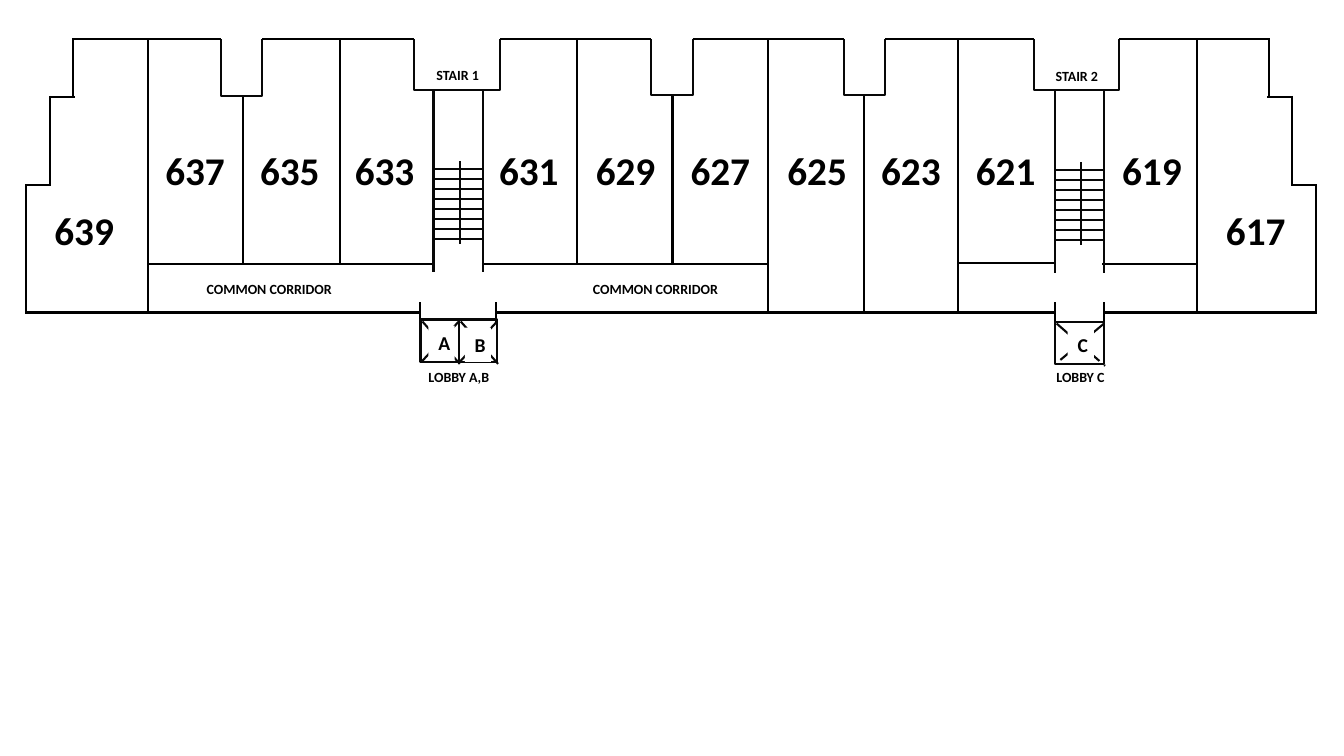
from pptx import Presentation
from pptx.dml.color import RGBColor as Rgb
from pptx.enum.dml import MSO_LINE as Dash
from pptx.enum.shapes import MSO_CONNECTOR as Conn, MSO_SHAPE as Shape
from pptx.enum.text import MSO_ANCHOR as Anchor, PP_ALIGN as Align
from pptx.oxml.xmlchemy import OxmlElement as Elem
from pptx.util import Inches as In, Pt

# Content: lengths in inches
COLORS = {"wall": "000000", "core": "080808", "paper": "FFFFFF", "ink": "000000"}
FONT = "Calibri"
WIDE, HIGH = 13.33, 7.5
SPAN = 13.31                         # left edge plus right edge of the building
TOP, DIP, HALL, BASE = 0.38, 0.95, 2.62, 3.1
ROW, END_ROW = 1.4, 2.0              # label tops: inner and end units

FIRST = 639                          # unit numbers fall by two, left to right
UNITS = [0.42, 1.52, 2.46, 3.4, 4.83, 5.79, 6.73, 7.69, 8.62, 9.56, 11.01, 12.04]

# Walls between units: x, top, bottom
PARTY = [
    (1.47, TOP, BASE), (2.41, DIP, HALL), (3.37, TOP, HALL), (5.72, TOP, HALL),
    (6.67, DIP, HALL), (7.62, TOP, BASE), (8.57, DIP, BASE), (9.5, TOP, BASE),
    (11.87, TOP, BASE),
]
# Recesses in the top front: left, right, floor
DENTS = [
    (2.19, 2.6, 0.95), (4.11, 4.96, 0.89), (6.46, 6.87, 0.94),
    (8.37, 8.78, 0.94), (10.26, 11.1, 0.89),
]
# Stepped ends: the left one, mirrored for the right
STEPS = [
    (0.72, TOP, 0.72, 0.96), (0.49, 0.96, 0.74, 0.96), (0.5, 0.95, 0.5, 1.85),
    (0.25, 1.84, 0.5, 1.84), (0.26, 1.83, 0.26, 3.11),
]
# Level walls: left, right, y
LEVEL = [
    (0.25, 4.17, BASE), (4.91, 10.46, BASE), (10.94, 13.06, BASE),
    (1.46, 4.3, HALL), (4.78, 7.62, HALL), (9.5, 10.45, 2.61), (10.93, 11.88, HALL),
]
DOORS = [4.17, 4.92, 10.46, 10.95]
STAIRS = [(4.3, 0.89), (10.46, 0.9)]
TREADS = 8

# Lifts: name, left, top, width, label left
LIFTS = [
    ("A", 4.17, 3.17, 0.38, 4.25),
    ("B", 4.55, 3.17, 0.38, 4.61),
    ("C", 10.46, 3.19, 0.49, 10.59),
]
# Small labels: text, left, top, width, wrap
NOTES = [
    ("COMMON CORRIDOR", 1.81, 2.73, 1.72, True),
    ("COMMON CORRIDOR", 5.64, 2.73, 1.72, True),
    ("LOBBY A,B", 4.14, 3.61, 0.82, False),
    ("LOBBY C", 10.37, 3.61, 0.69, False),
    ("STAIR 1", 4.2, 0.61, 0.68, True),
    ("STAIR 2", 10.34, 0.62, 0.68, True),
]

deck = Presentation()
deck.slide_width, deck.slide_height = In(WIDE), In(HIGH)
slide = deck.slides.add_slide(deck.slide_layouts[6])
shapes = slide.shapes


def color(key):
    return Rgb.from_string(COLORS[key])


def stroke(item, key):
    item.line.color.rgb = color(key)
    item.line.width = Pt(1.5)


def line(x1, y1, x2, y2, key="wall", dash=None):
    wall = shapes.add_connector(Conn.STRAIGHT, In(x1), In(y1), In(x2), In(y2))
    stroke(wall, key)
    if dash:
        wall.line.dash_style = dash
    wall._element.spPr.append(Elem("a:effectLst"))


def text(words, x, y, w, h, size=10, wrap=True, fill=None):
    if fill:
        box = shapes.add_shape(Shape.RECTANGLE, In(x), In(y), In(w), In(h))
        box.shadow.inherit = False
        box.fill.solid()
        box.fill.fore_color.rgb = color(fill)
        box.line.fill.background()
    else:
        box = shapes.add_textbox(In(x), In(y), In(w), In(h))
    frame = box.text_frame
    frame.word_wrap = wrap
    frame.vertical_anchor = Anchor.MIDDLE if fill else Anchor.TOP
    par = frame.paragraphs[0]
    par.alignment = Align.CENTER
    run = par.add_run()
    run.text = words
    run.font.name, run.font.size, run.font.bold = FONT, Pt(size), True
    run.font.color.rgb = color("ink")


# Outer and inner walls
for x1, y1, x2, y2 in STEPS:
    line(x1, y1, x2, y2)
    line(SPAN - x1, y1, SPAN - x2, y2)
for left, right, y in LEVEL:
    line(left, y, right, y)
for x, y1, y2 in PARTY:
    line(x, y1, x, y2)
for x in DOORS:
    line(x, 3, x, 3.2)

# Top front: recesses and the runs between them
front = TOP + 0.01
for left, right, floor in DENTS:
    pen = shapes.build_freeform(In(right), In(front))
    pen.add_line_segments(
        [(In(right), In(floor)), (In(left), In(floor)), (In(left), In(front))], close=False)
    dent = pen.convert_to_shape()
    dent.shadow.inherit = False
    dent.fill.background()
    stroke(dent, "core")
starts = [0.72] + [dent[1] for dent in DENTS]
stops = [dent[0] for dent in DENTS] + [SPAN - 0.72]
for left, right in zip(starts, stops):
    line(left, front, right, front)

# Stairs
for x, y in STAIRS:
    for side in (x, x + 0.49):
        line(side, y, side, y + 1.81, "core")
    line(x + 0.26, y + 0.71, x + 0.26, y + 1.53, "core")
    for i in range(TREADS):
        tread = y + 0.79 + 0.69 * i / (TREADS - 1)
        line(x, tread, x + 0.49, tread, "core")

# Lifts
for name, x, y, w, mark in LIFTS:
    cab = shapes.add_shape(Shape.RECTANGLE, In(x), In(y), In(w), In(0.42))
    cab.shadow.inherit = False
    cab.fill.background()
    stroke(cab, "core")
    line(x + 0.02, y + 0.02, x + w + 0.01, y + 0.44, "core", Dash.DASH_DOT_DOT)
    line(x + w, y + 0.02, x + 0.01, y + 0.42, "core", Dash.DASH_DOT_DOT)
for name, x, y, w, mark in LIFTS:
    drop = 3.23 if name == "A" else 3.25
    text(name, mark, drop, 0.26, 0.34, size=14, fill="paper")

# Unit numbers and small labels
for i, x in enumerate(UNITS):
    y = END_ROW if i in (0, len(UNITS) - 1) else ROW
    text(str(FIRST - 2 * i), x, y, 0.83, 0.57, size=28)
for words, x, y, w, wrap in NOTES:
    text(words, x, y, w, 0.27, wrap=wrap)

deck.save("out.pptx")
